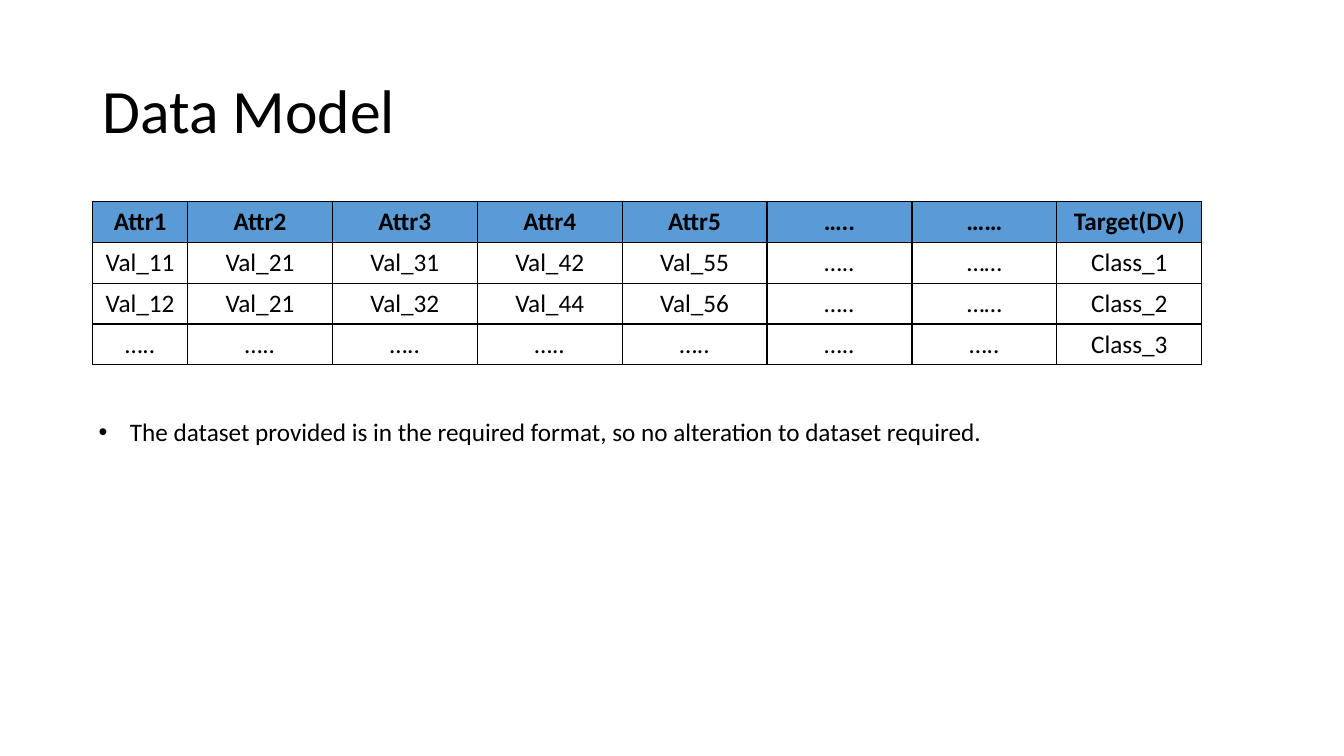
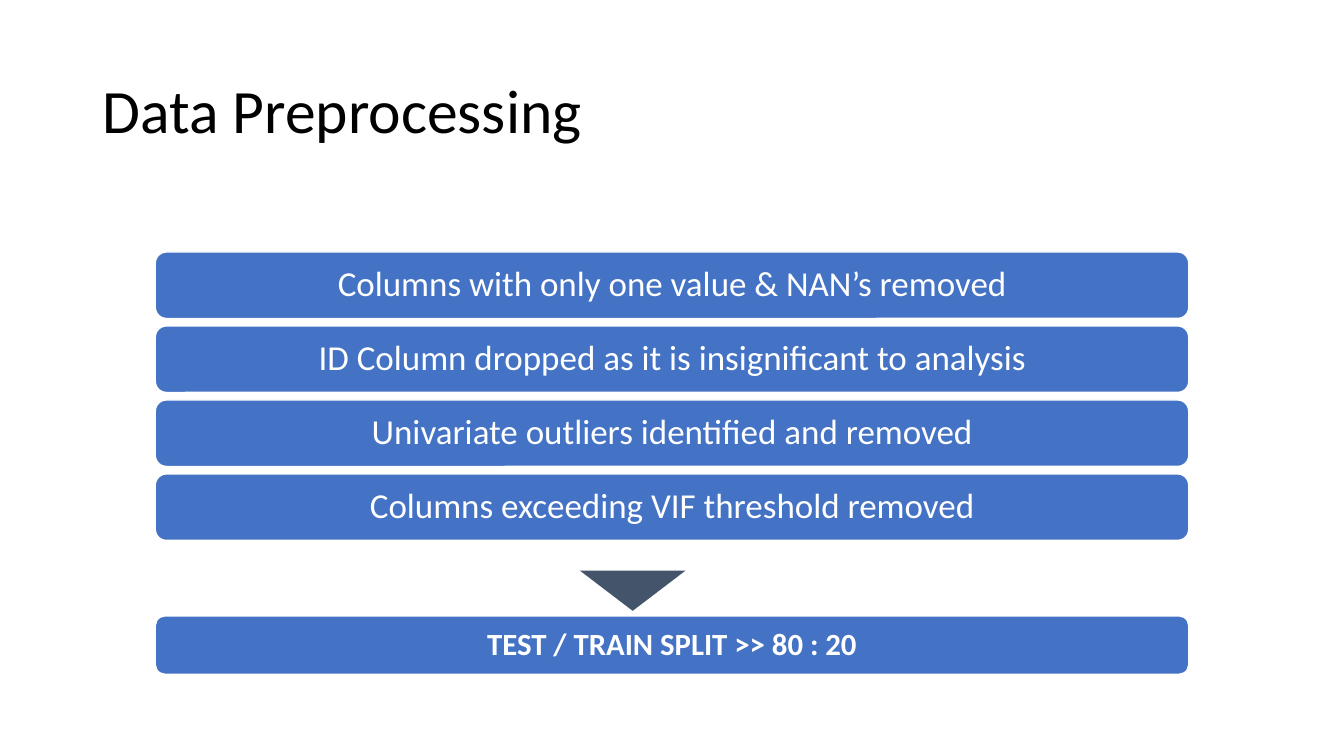
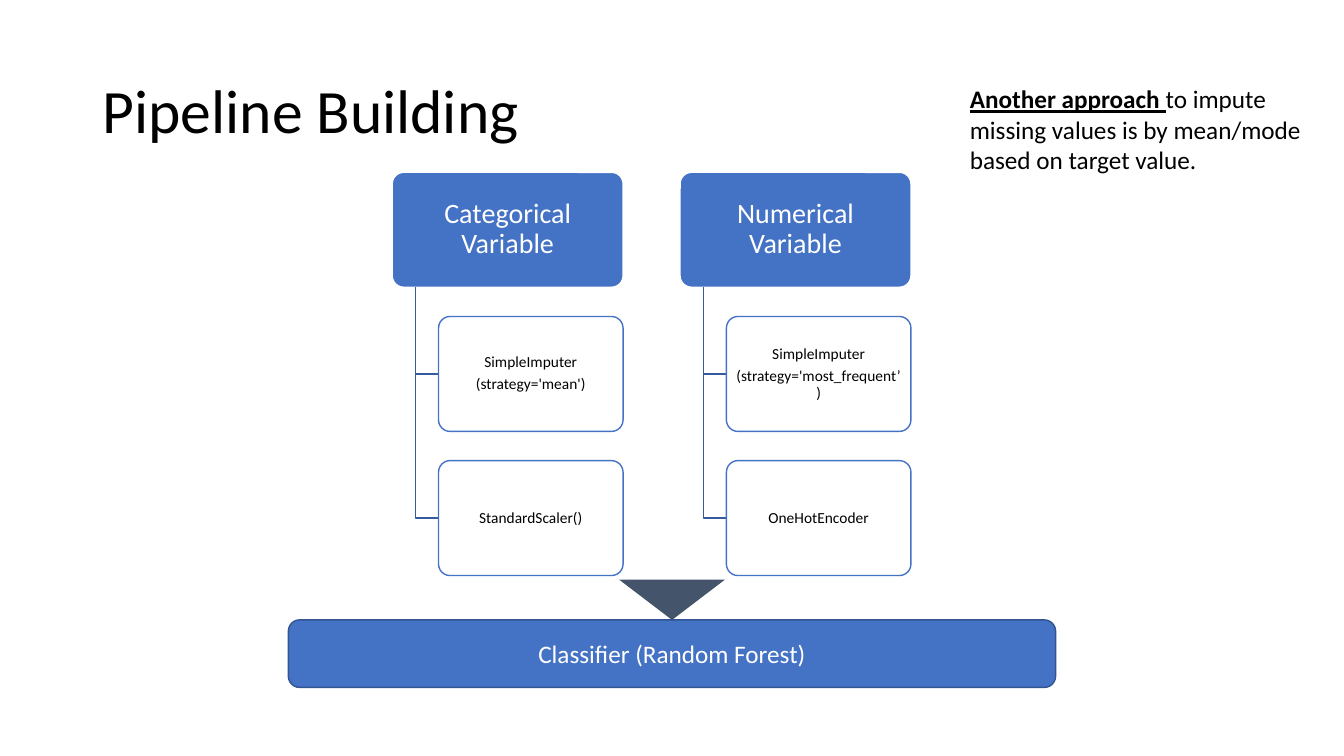
from pptx import Presentation
from pptx.dml.color import RGBColor
from pptx.enum.shapes import MSO_SHAPE as SHAPE
from pptx.enum.text import MSO_ANCHOR as ANCHOR, PP_ALIGN as ALIGN
from pptx.oxml.ns import qn
from pptx.util import Inches, Pt
from lxml.etree import SubElement

FONT = "Calibri"
BLACK, WHITE = "000000", "FFFFFF"
BLUE, DARK_BLUE, ELBOW_BLUE = "4472C4", "325491", "365B9D"
HEADER_BLUE, SLATE = "5B9BD5", "44546A"

TABLE_ROWS = [
    ["Attr1", "Attr2", "Attr3", "Attr4", "Attr5", "…..", "……", "Target(DV)"],
    ["Val_11", "Val_21", "Val_31", "Val_42", "Val_55", "…..", "……", "Class_1"],
    ["Val_12", "Val_21", "Val_32", "Val_44", "Val_56", "…..", "……", "Class_2"],
    ["…..", "…..", "…..", "…..", "…..", "…..", "…..", "Class_3"],
]
STEPS = [
    "Columns with only one value & NAN’s removed",
    "ID Column dropped as it is insignificant to analysis",
    "Univariate outliers identified and removed",
    "Columns exceeding VIF threshold removed",
]
BRANCHES = [
    ("Categorical Variable",
     [["SimpleImputer", "(strategy='mean')"], ["StandardScaler()"]]),
    ("Numerical Variable",
     [["SimpleImputer", "(strategy='most_frequent’)"], ["OneHotEncoder"]]),
]


def rgb(color):
    return RGBColor.from_string(color)


def box(x, y, w, h):
    return Inches(x), Inches(y), Inches(w), Inches(h)


def add_bullet(p, indent):
    pPr = p._p.get_or_add_pPr()
    pPr.set("marL", str(Inches(indent)))
    pPr.set("indent", str(-Inches(indent)))
    SubElement(pPr, qn("a:buFont")).set("typeface", "Arial")
    SubElement(pPr, qn("a:buChar")).set("char", "•")


def write(tf, *lines, size=18, color=BLACK, bold=False, lead="", align=ALIGN.LEFT,
          spacing=None, after=None, anchor=None, inset=None, wrap=True, bullet=None):
    tf.word_wrap = wrap
    if anchor is not None:
        tf.vertical_anchor = anchor
    if inset is not None:
        tf.margin_left = tf.margin_right = Inches(inset)
        tf.margin_top = tf.margin_bottom = Inches(inset)
    for i, line in enumerate(lines):
        p = tf.add_paragraph() if i else tf.paragraphs[0]
        p.alignment = align
        if spacing:
            p.line_spacing = spacing
        if after:
            p.space_after = Pt(after)
        if bullet:
            add_bullet(p, bullet)
        for text, is_lead in ((lead, True), (line, False)):
            if not text:
                continue
            r = p.add_run()
            r.text = text
            r.font.name, r.font.size = FONT, Pt(size)
            r.font.color.rgb = rgb(color)
            r.font.bold = bold or is_lead
            r.font.underline = is_lead


def add_text(s, at, *lines, **fmt):
    write(s.shapes.add_textbox(*box(*at)).text_frame, *lines, **fmt)


def add_panel(s, at, *lines, fill=BLUE, line=WHITE, adj=None, size=18, color=WHITE,
              spacing=0.9, inset=0.13, bold=False):
    sp = s.shapes.add_shape(SHAPE.ROUNDED_RECTANGLE, *box(*at))
    sp.shadow.inherit = False
    if adj:
        sp.adjustments[0] = adj
    sp.fill.solid()
    sp.fill.fore_color.rgb = rgb(fill)
    sp.line.color.rgb = rgb(line)
    sp.line.width = Pt(1)
    write(sp.text_frame, *lines, size=size, color=color, bold=bold, align=ALIGN.CENTER,
          spacing=spacing, after=round(size * 0.35, 2), anchor=ANCHOR.MIDDLE, inset=inset)


def add_down_arrow(s, x, y):
    sp = s.shapes.add_shape(SHAPE.ISOSCELES_TRIANGLE, *box(x, y, 1.05, 0.4))
    sp.rotation = 180
    sp.shadow.inherit = False
    sp.fill.solid()
    sp.fill.fore_color.rgb = rgb(SLATE)
    sp.line.fill.background()


def add_elbow(s, x, top, end_x, end_y):
    fb = s.shapes.build_freeform(Inches(x), Inches(top))
    fb.add_line_segments([(Inches(x), Inches(end_y)), (Inches(end_x), Inches(end_y))],
                         close=False)
    sp = fb.convert_to_shape()
    sp.shadow.inherit = False
    sp.fill.background()
    sp.line.color.rgb = rgb(ELBOW_BLUE)
    sp.line.width = Pt(1)


def add_borders(cell):
    tcPr = cell._tc.get_or_add_tcPr()
    for side in ("a:lnL", "a:lnR", "a:lnT", "a:lnB"):
        ln = SubElement(tcPr, qn(side), w=str(Pt(1)))
        SubElement(SubElement(ln, qn("a:solidFill")), qn("a:srgbClr")).set("val", BLACK)


def add_grid(s, x, y, widths, row_h, rows):
    frame = s.shapes.add_table(len(rows), len(widths),
                               *box(x, y, sum(widths), row_h * len(rows)))
    table = frame.table
    table.first_row = table.horz_banding = False
    for col, w in zip(table.columns, widths):
        col.width = Inches(w)
    for i, values in enumerate(rows):
        table.rows[i].height = Inches(row_h)
        for j, value in enumerate(values):
            cell = table.cell(i, j)
            add_borders(cell)
            if i == 0:
                cell.fill.solid()
                cell.fill.fore_color.rgb = rgb(HEADER_BLUE)
            else:
                cell.fill.background()
            write(cell.text_frame, value, bold=i == 0, align=ALIGN.CENTER)


def add_slide(prs, title):
    s = prs.slides.add_slide(prs.slide_layouts[6])
    add_text(s, (0.92, 0.4, 11.5, 1.45), title, size=44, spacing=0.9, anchor=ANCHOR.MIDDLE)
    return s


def data_model(prs):
    s = add_slide(prs, "Data Model")
    first = 0.94
    add_grid(s, 0.92, 2, [first] + [(11 - first) / 7] * 7, 0.405, TABLE_ROWS)
    add_text(s, (0.88, 4.08, 8.98, 0.4),
             "The dataset provided is in the required format, "
             "so no alteration to dataset required.", bullet=0.31, wrap=False)


def preprocessing(prs):
    s = add_slide(prs, "Data Preprocessing")
    x, w = 1.54, 10.25
    for i, step in enumerate(STEPS):
        add_panel(s, (x, 2.5 + i * 0.734, w, 0.66), step, size=25)
    add_down_arrow(s, 5.75, 5.66)
    add_panel(s, (x, 6.11, w, 0.58), "TEST / TRAIN SPLIT >> 80 : 20",
              size=22, bold=True, inset=0.12)


def pipeline(prs):
    s = add_slide(prs, "Pipeline Building")
    top, h, indent = 1.71, 1.14, 0.46
    for i, (name, stages) in enumerate(BRANCHES):
        x = 3.89 + i * 2.855
        add_panel(s, (x, top, 2.29, h), name, adj=0.1, size=20, inset=0.07)
        for j, lines in enumerate(stages):
            y = top + (j + 1) * 1.43
            add_elbow(s, x + indent / 2, top + h, x + indent, y + h / 2)
            add_panel(s, (x + indent, y, 1.83, h), *lines, fill=WHITE, line=BLUE,
                      adj=0.1, size=11, color=BLACK, inset=0.05)
    add_panel(s, (2.86, 6.15, 7.61, 0.67), "Classifier (Random Forest)",
              line=DARK_BLUE, spacing=None, inset=0.05)
    add_down_arrow(s, 6.14, 5.75)
    add_text(s, (9.52, 0.78, 3.55, 1.01),
             "to impute missing values is by mean/mode based on target value.",
             lead="Another approach ")


def main():
    prs = Presentation()
    prs.slide_width, prs.slide_height = Inches(13.33), Inches(7.5)
    data_model(prs)
    preprocessing(prs)
    pipeline(prs)
    prs.save("out.pptx")


if __name__ == "__main__":
    main()
